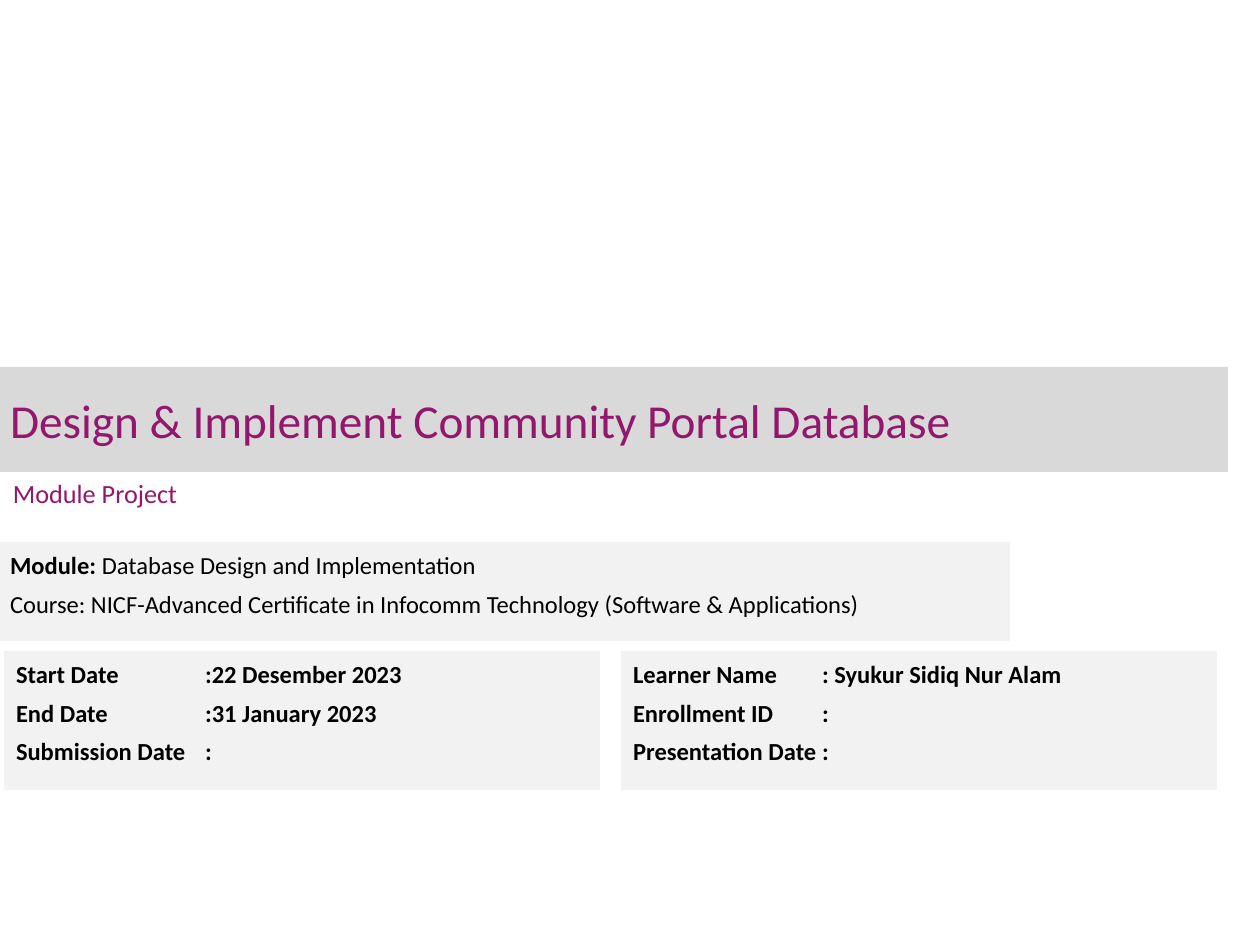
from dataclasses import dataclass

from pptx import Presentation
from pptx.dml.color import RGBColor
from pptx.enum.shapes import MSO_SHAPE as Shape
from pptx.enum.text import MSO_ANCHOR as Anchor, PP_ALIGN as Align
from pptx.oxml.ns import qn
from pptx.util import Emu, Pt

PX_PER_INCH = 126
BLANK_LAYOUT = 6


def px(length):
    return Emu(round(length * 914400 / PX_PER_INCH))


@dataclass(frozen=True)
class Theme:
    font: str = "Calibri"
    accent: RGBColor = RGBColor(0x93, 0x17, 0x6C)
    body: RGBColor = RGBColor(0, 0, 0)
    title_band: RGBColor = RGBColor(0xD9, 0xD9, 0xD9)
    panel: RGBColor = RGBColor(0xF2, 0xF2, 0xF2)
    title_size: int = 27
    subtitle_size: int = 15
    body_size: int = 14
    line_height: int = 18
    paragraph_gap: int = 2


class CoverSlide:
    def __init__(self, presentation, theme):
        self.theme = theme
        layout = presentation.slide_layouts[BLANK_LAYOUT]
        self.slide = presentation.slides.add_slide(layout)

    def rectangle(self, box, color):
        shape = self.slide.shapes.add_shape(Shape.RECTANGLE, *map(px, box))
        shape.shadow.inherit = False
        shape.fill.solid()
        shape.fill.fore_color.rgb = color
        shape.line.fill.background()
        return shape

    def frame(self, shape, anchor, insets):
        """Prepare a text frame; insets are horizontal and vertical px."""
        frame = shape.text_frame
        frame.word_wrap = True
        frame.vertical_anchor = anchor
        frame.margin_left = frame.margin_right = px(insets[0])
        frame.margin_top = frame.margin_bottom = px(insets[1])
        frame.paragraphs[0].alignment = Align.LEFT
        return frame

    def run(self, paragraph, text, size, color, bold=False):
        run = paragraph.add_run()
        run.text = text
        run.font.name = self.theme.font
        run.font.size = Pt(size)
        run.font.bold = bold
        run.font.color.rgb = color

    def title(self, box, text):
        shape = self.rectangle(box, self.theme.title_band)
        frame = self.frame(shape, Anchor.MIDDLE, (10, 5))
        self.run(frame.paragraphs[0], text, self.theme.title_size, self.theme.accent)

    def subtitle(self, box, text):
        shape = self.slide.shapes.add_textbox(*map(px, box))
        frame = self.frame(shape, Anchor.MIDDLE, (13, 6))
        self.run(frame.paragraphs[0], text, self.theme.subtitle_size, self.theme.accent)

    def panel(self, box, lines, tab=None):
        """Draw a panel of lines, each a list of (text, bold) runs."""
        theme = self.theme
        shape = self.rectangle(box, theme.panel)
        frame = self.frame(shape, Anchor.TOP, (12, 6))
        for index, runs in enumerate(lines):
            paragraph = frame.add_paragraph() if index else frame.paragraphs[0]
            paragraph.alignment = Align.LEFT
            paragraph.line_spacing = Pt(theme.line_height)
            paragraph.space_before = Pt(theme.paragraph_gap if index else 0)
            paragraph.space_after = Pt(theme.paragraph_gap)
            if tab:
                self.tab_stop(paragraph, tab)
            for text, bold in runs:
                self.run(paragraph, text, theme.body_size, theme.body, bold)

    def tab_stop(self, paragraph, position):
        properties = paragraph._p.get_or_add_pPr()
        tabs = properties.makeelement(qn("a:tabLst"), {})
        stop = {"pos": str(px(position)), "algn": "l"}
        tabs.append(tabs.makeelement(qn("a:tab"), stop))
        properties.append(tabs)

    def details(self, box, rows):
        """Draw a panel of bold labels with values aligned at one tab."""
        lines = [[(f"{label}\t{value}", True)] for label, value in rows]
        self.panel(box, lines, tab=189)


def main():
    presentation = Presentation()
    presentation.slide_width = px(1260)
    presentation.slide_height = px(945)

    cover = CoverSlide(presentation, Theme())
    cover.title((0, 367, 1228, 105), "Design & Implement Community Portal Database")
    cover.subtitle((0, 454, 809, 78), "Module Project")
    cover.panel((-2, 542, 1012, 99), [
        [("Module: ", True), ("Database Design and Implementation", False)],
        [("Course: NICF-Advanced Certificate in Infocomm Technology "
          "(Software & Applications)", False)],
    ])

    detail_panels = [
        [("Start Date", ":22 Desember 2023"),
         ("End Date", ":31 January 2023"),
         ("Submission Date", ":")],
        [("Learner Name", ": Syukur Sidiq Nur Alam"),
         ("Enrollment ID", ":"),
         ("Presentation Date", ":")],
    ]
    width, gap = 596, 21
    for column, rows in enumerate(detail_panels):
        cover.details((4 + column * (width + gap), 651, width, 139), rows)

    presentation.save("out.pptx")


if __name__ == "__main__":
    main()
